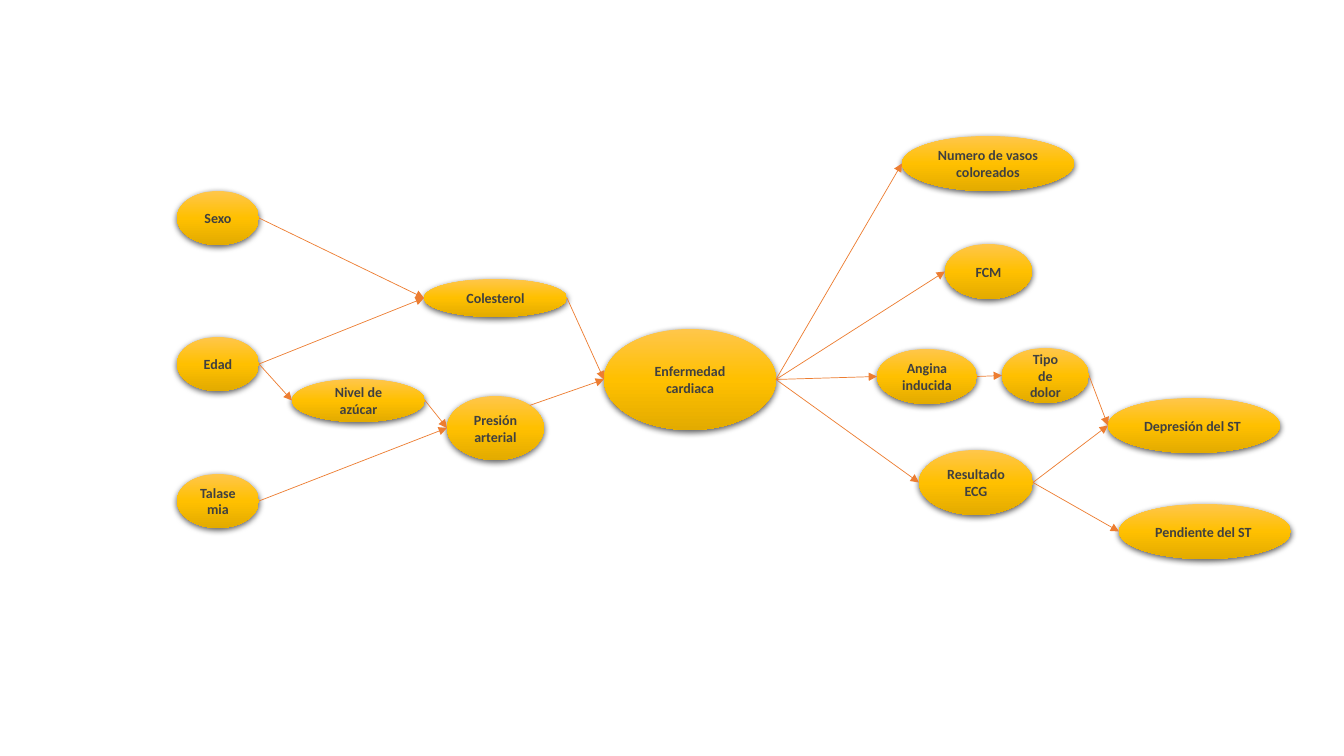
from copy import deepcopy
from lxml.etree import SubElement as Sub
from pptx import Presentation
from pptx.dml.color import RGBColor
from pptx.enum.shapes import MSO_CONNECTOR as Link, MSO_SHAPE as Form
from pptx.enum.text import MSO_ANCHOR as Anchor, PP_ALIGN as Align
from pptx.oxml.ns import qn
from pptx.util import Pt

PX = 914400 / 100.8
LEFT, RIGHT, UPPER = 2, 6, 7
SITES = {LEFT: (0, 0.5), RIGHT: (1, 0.5), UPPER: (0.854, 0.146)}
STOPS = [(0, "FFC64B"), (0.5, "FFC000"), (1, "E3AB00")]

SMALL, MID, WIDE = (82, 54), (87, 55), (172, 55)
CAUSES = {
    "Sexo": (0, 55, *SMALL),
    "Edad": (0, 201, *SMALL),
    "Talasemia": (0, 338, *SMALL),
    "Colesterol": (247, 143, 143, 38),
    "Nivel de azúcar": (115, 243, 133, 43),
    "Presión arterial": (270, 260, 97, 64),
}
DISEASE = {"Enfermedad cardiaca": (0, 0, 172, 101)}
SIGNS = {
    "Numero de vasos coloreados": (25, 0, *WIDE),
    "FCM": (68, 108, *MID),
    "Angina inducida": (0, 213, 100, 55),
    "Tipo de dolor": (125, 212, *MID),
    "Resultado ECG": (42, 314, 114, 65),
    "Depresión del ST ": (231, 262, *WIDE),
    "Pendiente del ST ": (242, 368, *WIDE),
}
LINKS = [
    ("Sexo", "Colesterol"),
    ("Edad", "Colesterol"),
    ("Edad", "Nivel de azúcar"),
    ("Nivel de azúcar", "Presión arterial"),
    ("Talasemia", "Presión arterial"),
    ("Colesterol", "Enfermedad cardiaca"),
    ("Presión arterial", "Enfermedad cardiaca"),
    ("Enfermedad cardiaca", "Numero de vasos coloreados"),
    ("Enfermedad cardiaca", "FCM"),
    ("Enfermedad cardiaca", "Angina inducida"),
    ("Enfermedad cardiaca", "Resultado ECG"),
    ("Angina inducida", "Tipo de dolor"),
    ("Tipo de dolor", "Depresión del ST "),
    ("Resultado ECG", "Depresión del ST "),
    ("Resultado ECG", "Pendiente del ST "),
]


def px(num):
    """Turn pixels into EMU."""
    return round(num * PX)


def color(code):
    """Turn a hex string into a colour."""
    return RGBColor.from_string(code)


def shade(node):
    """Give a node its amber gradient and soft shadow."""
    node.fill.gradient()
    node.fill.gradient_angle = 270
    props = node._element.spPr
    first = props.find(".//" + qn("a:gs"))
    first.addnext(deepcopy(first))
    for stop, (place, code) in zip(node.fill.gradient_stops, STOPS):
        stop.position = place
        stop.color.rgb = color(code)
    node.line.fill.background()
    node.shadow.inherit = False
    glow = Sub(props.find(qn("a:effectLst")), qn("a:outerShdw"),
               blurRad=str(Pt(4.5)), dist=str(Pt(1.5)), dir="5400000",
               algn="ctr", rotWithShape="0")
    black = Sub(glow, qn("a:srgbClr"), val="000000")
    Sub(black, qn("a:alpha"), val="63000")


def add_node(slide, label, box):
    """Add one labelled ellipse."""
    node = slide.shapes.add_shape(Form.OVAL, *map(px, box))
    shade(node)
    frame = node.text_frame
    frame.word_wrap = True
    frame.vertical_anchor = Anchor.MIDDLE
    para = frame.paragraphs[0]
    para.alignment = Align.CENTER
    run = para.add_run()
    run.text = label
    font = run.font
    font.name, font.size, font.bold = "Calibri", Pt(10), True
    font.color.rgb = color("404040")
    return node


def add_group(slide, left, top, parts):
    """Add the nodes of one region relative to its corner."""
    return {label: add_node(slide, label, (left + x, top + y, w, h))
            for label, (x, y, w, h) in parts.items()}


def point(node, site):
    """Find a connection site on a node."""
    across, down = SITES[site]
    return (round(node.left + across * node.width),
            round(node.top + down * node.height))


def add_link(slide, start, end, site=RIGHT):
    """Join two nodes with an arrow glued to both."""
    link = slide.shapes.add_connector(
        Link.STRAIGHT, *point(start, site), *point(end, LEFT))
    link.line.color.rgb = color("ED7D31")
    link.line.width = Pt(0.5)
    props = link._element.spPr
    Sub(props.find(qn("a:ln")), qn("a:tailEnd"), type="triangle")
    Sub(props, qn("a:effectLst"))
    glue = link._element.nvCxnSpPr.cNvCxnSpPr
    for tag, node, spot in (("a:stCxn", start, site), ("a:endCxn", end, LEFT)):
        Sub(glue, qn(tag), id=str(node.shape_id), idx=str(spot))


def add_graph(slide):
    """Build the causes, the disease and its signs, then join them."""
    nodes = {
        **add_group(slide, 177, 136, CAUSES),
        **add_group(slide, 604, 329, DISEASE),
        **add_group(slide, 877, 136, SIGNS),
    }
    for start, end in LINKS:
        site = UPPER if start == "Presión arterial" else RIGHT
        add_link(slide, nodes[start], nodes[end], site)


deck = Presentation()
deck.slide_width, deck.slide_height = px(1344), px(756)
add_graph(deck.slides.add_slide(deck.slide_layouts[6]))
deck.save("out.pptx")
